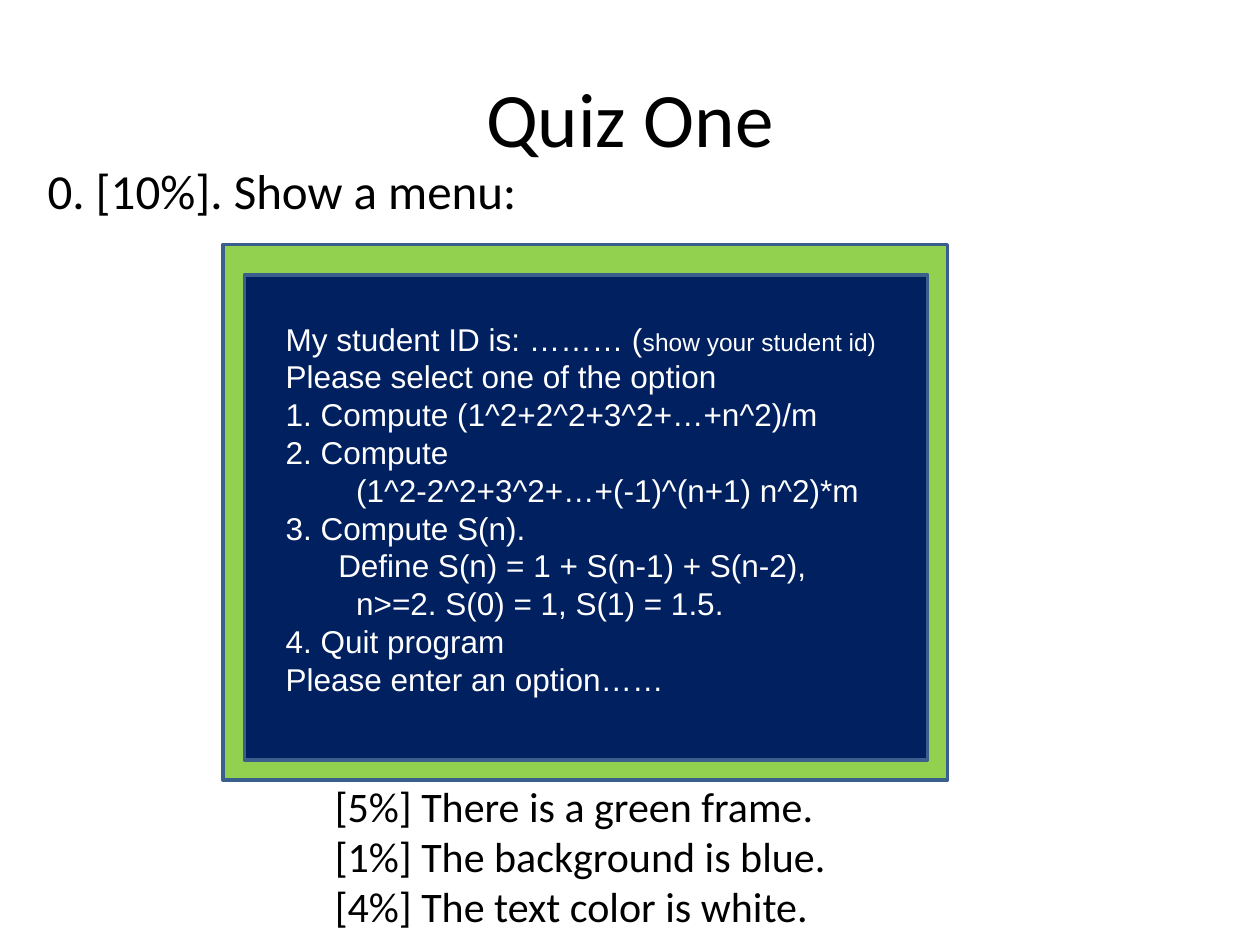
from dataclasses import dataclass

from pptx import Presentation
from pptx import util as u
from pptx.dml.color import RGBColor
from pptx.enum import shapes, text


@dataclass(frozen=True)
class Theme:
    """Colours, fonts and type sizes of the slide."""
    ink: str = "000000"
    paper: str = "FFFFFF"
    frame: str = "92D050"
    screen: str = "002060"
    outline: str = "3A5F8C"
    body_font: str = "Calibri"
    menu_font: str = "Arial"
    title: int = 44
    question: int = 28
    marks: int = 24
    menu: int = 18
    hint: int = 14


class QuizSlide:
    """Draws the parts of a quiz slide in one theme."""

    def __init__(self, deck, theme):
        """Add a title-only slide to the deck."""
        self.theme = theme
        self.slide = deck.slides.add_slide(deck.slide_layouts[5])

    def style(self, run, size, font, colour):
        """Format one run."""
        run.font.size = u.Pt(size)
        run.font.name = font
        run.font.color.rgb = RGBColor.from_string(colour)

    def title(self, box, wording):
        """Place and fill the title."""
        heading = self.slide.shapes.title
        heading.left, heading.top, heading.width, heading.height = map(u.Cm, box)
        frame = heading.text_frame
        frame.text = wording
        frame.vertical_anchor = text.MSO_ANCHOR.MIDDLE
        frame.paragraphs[0].alignment = text.PP_ALIGN.CENTER
        self.style(frame.paragraphs[0].runs[0], self.theme.title,
                   self.theme.body_font, self.theme.ink)

    def panel(self, box, fill):
        """Draw an outlined rectangle."""
        panel = self.slide.shapes.add_shape(
            shapes.MSO_SHAPE.RECTANGLE, *map(u.Cm, box))
        panel.shadow.inherit = False
        panel.fill.solid()
        panel.fill.fore_color.rgb = RGBColor.from_string(fill)
        panel.line.color.rgb = RGBColor.from_string(self.theme.outline)
        panel.line.width = u.Pt(2)

    def lines(self, box, entries, size, font, colour, wrap=True):
        """Write lines, each a wording, left margin and first-line indent."""
        frame = self.slide.shapes.add_textbox(*map(u.Cm, box)).text_frame
        frame.word_wrap = wrap
        for number, (wording, margin, indent) in enumerate(entries):
            line = frame.add_paragraph() if number else frame.paragraphs[0]
            line.text = wording
            properties = line._p.get_or_add_pPr()
            properties.set("marL", str(u.Cm(margin)))
            properties.set("indent", str(u.Cm(indent)))
            self.style(line.runs[0], size, font, colour)
        return frame


HANGING = (1.42, -1.42)
FORMULA = (1.42, 0)
DEFINITION = (1.42, -0.36)
FLUSH = (0, 0)

MENU = [
    ("My student ID is: ……… (", *HANGING),
    ("Please select one of the option", *HANGING),
    ("1. Compute (1^2+2^2+3^2+…+n^2)/m", *HANGING),
    ("2. Compute", *HANGING),
    ("(1^2-2^2+3^2+…+(-1)^(n+1) n^2)*m", *FORMULA),
    ("3. Compute S(n).", *HANGING),
    ("Define S(n) = 1 + S(n-1) + S(n-2), n>=2. S(0) = 1, S(1) = 1.5.", *DEFINITION),
    ("4. Quit program", *HANGING),
    ("Please enter an option……", *HANGING),
]
MARKS = [
    ("[5%] There is a green frame.", *FLUSH),
    ("[1%] The background is blue.", *FLUSH),
    ("[4%] The text color is white.", *FLUSH),
]

theme = Theme()
deck = Presentation()
deck.slide_width, deck.slide_height = u.Cm(25.4), u.Cm(19.05)
quiz = QuizSlide(deck, theme)

quiz.title((1.27, 0.76, 22.86, 3.18), "Quiz One")
quiz.panel((4.5, 4.93, 14.6, 10.8), theme.frame)
quiz.panel((4.93, 5.54, 13.77, 9.78), theme.screen)
quiz.lines((0.71, 3.12, 24.21, 13.49), [("0. [10%]. Show a menu:", *HANGING)],
           theme.question, theme.body_font, theme.ink)
quiz.lines((6.5, 15.6, 10.49, 3.33), MARKS,
           theme.marks, theme.body_font, theme.ink, wrap=False)
menu = quiz.lines((5.51, 6.32, 12.7, 7.95), MENU,
                  theme.menu, theme.menu_font, theme.paper)
hint = menu.paragraphs[0].add_run()
hint.text = "show your student id)"
quiz.style(hint, theme.hint, theme.menu_font, theme.paper)

deck.save("out.pptx")
